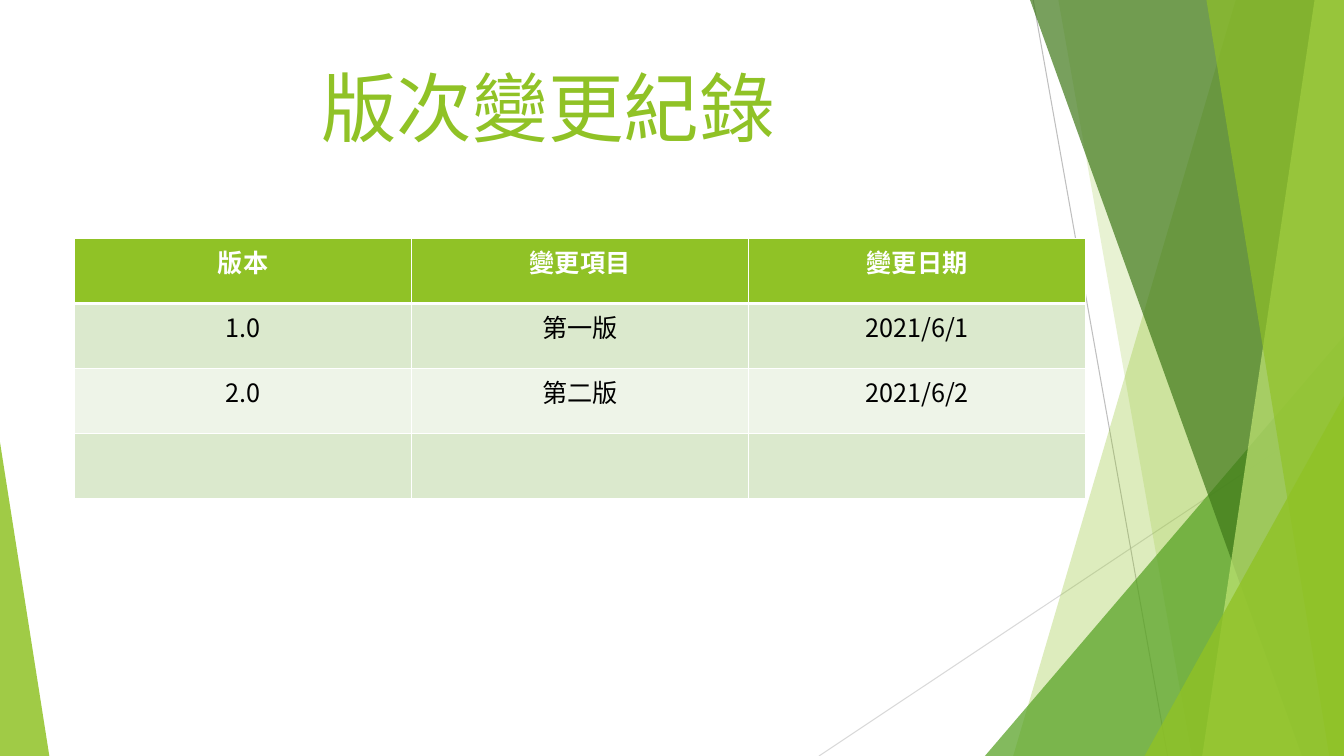
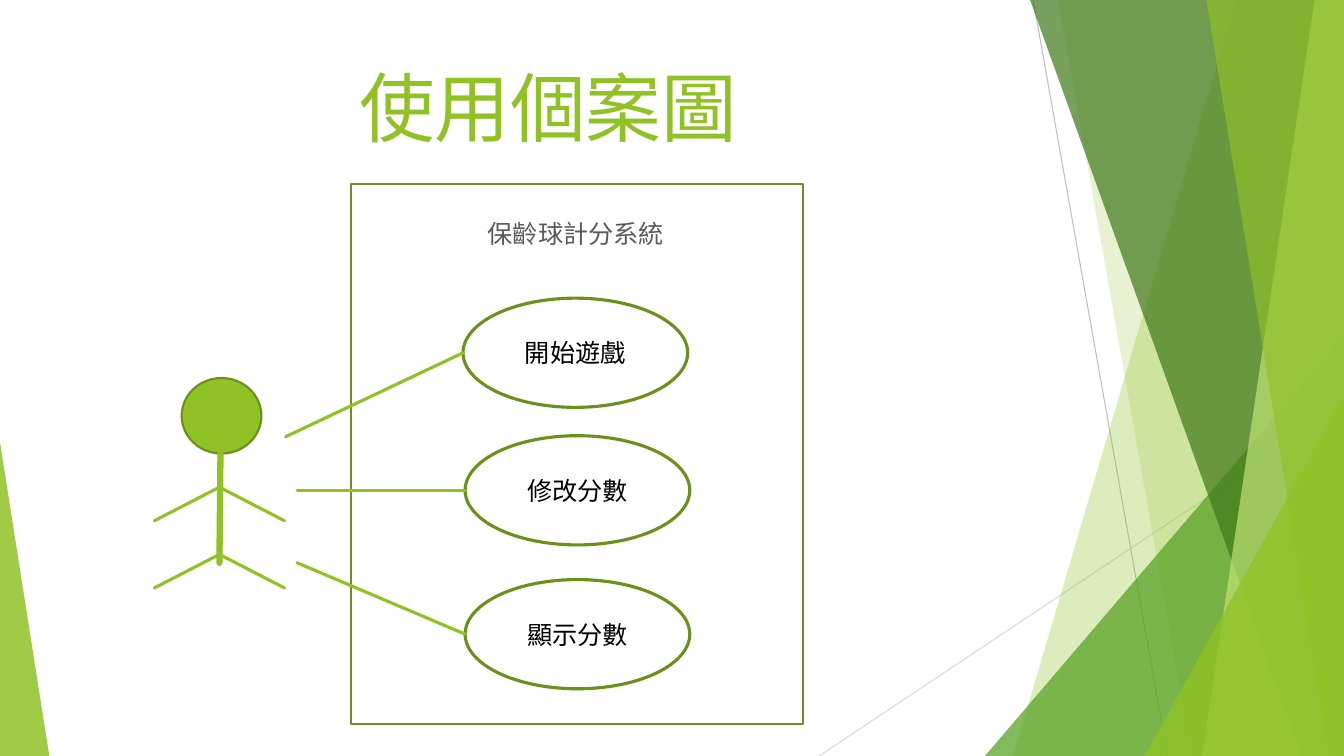
from pptx import Presentation
from pptx.dml.color import RGBColor
from pptx.enum.shapes import MSO_CONNECTOR, MSO_SHAPE
from pptx.enum.text import MSO_ANCHOR, PP_ALIGN
from pptx.oxml.ns import qn
from pptx.util import Pt
from lxml.etree import SubElement

PX = 9525
WIDE, HIGH = 1280, 720
FONT = "Noto Sans CJK TC"
HUES = {
    "lime": "90C226", "leaf": "54A021", "pine": "3F7819", "pale": "C0E474",
    "edge": "6B901C", "mist": "D9D9D9", "ash": "BFBFBF", "gray": "595959",
    "white": "FFFFFF", "black": "000000", "odd": "DBE9CD", "even": "EEF4E8",
}

# Shared backdrop: thin rays, then facets as (colour, opacity in %, corners)
RAYS = [("mist", (780, HIGH), (WIDE, 387)), ("ash", (984, 0), (1112, HIGH))]
TOP, BASE = (WIDE, 0), (WIDE, HIGH)
FACETS = [
    ("lime", 30, [(1177, 0), (965, HIGH), BASE, TOP]),
    ("lime", 20, [(1008, 0), (1135, HIGH), BASE, TOP]),
    ("leaf", 72, [(938, HIGH), (WIDE, 320), BASE]),
    ("pine", 70, [(981, 0), (1240, HIGH), BASE, TOP]),
    ("pale", 70, [(1252, 0), (1145, HIGH), BASE, TOP]),
    ("lime", 65, [(1149, 0), (1266, HIGH), BASE, TOP]),
    ("lime", 80, [(1090, HIGH), (WIDE, 377), BASE]),
    ("lime", 85, [(0, 421), (47, HIGH), (0, HIGH)]),
]
TITLE_BOX = (71, 64, 902, 138)

LOG_TITLE = "版次變更紀錄"
LOG = [
    ("版本", "變更項目", "變更日期"),
    ("1.0", "第一版", "2021/6/1"),
    ("2.0", "第二版", "2021/6/2"),
    ("", "", ""),
]
LOG_AT, LOG_CELL = (71, 227), (321, 62)

CASE_TITLE = "使用個案圖"
SYSTEM = "保齡球計分系統"
SYSTEM_BOX, LABEL_BOX = (334, 175, 431, 515), (373, 203, 351, 38)
OVAL = (214, 104)
# Each case: text, left and top of its oval, start of its link
CASES = [
    ("開始遊戲", (441, 284), (272, 416)),
    ("修改分數", (443, 415), (283, 467)),
    ("顯示分數", (443, 552), (283, 536)),
]
HEAD = (173, 360, 76, 72)
SPINE = ((210, 432), (209, 536))
LIMB_TOPS, REACH, DROP = (464, 528), 62, 32


def px(*sizes):
    return [round(size * PX) for size in sizes]


def hue(name):
    return RGBColor.from_string(HUES[name])


def write(frame, text, size=18, color="black", bold=False, latin=FONT, space=None):
    """Put one centred paragraph into a text frame."""
    para = frame.paragraphs[0]
    para.alignment = PP_ALIGN.CENTER
    if space:
        para.line_spacing = space
    run = para.add_run()
    run.text = text
    font = run.font
    font.size, font.bold, font.name = Pt(size), bold, latin
    font.color.rgb = hue(color)
    SubElement(run._r.get_or_add_rPr(), qn("a:ea"), typeface=FONT)


def label(slide, box, text, **style):
    frame = slide.shapes.add_textbox(*px(*box)).text_frame
    frame.word_wrap = True
    write(frame, text, **style)


def shape(shapes, kind, box, fill=None, width=1.5):
    item = shapes.add_shape(kind, *px(*box))
    item.shadow.inherit = False
    if fill:
        item.fill.solid()
        item.fill.fore_color.rgb = hue(fill)
    else:
        item.fill.background()
    item.line.color.rgb = hue("edge")
    item.line.width = Pt(width)
    return item


def line(shapes, start, end, color="lime", width=2.25):
    item = shapes.add_connector(MSO_CONNECTOR.STRAIGHT, *px(*start, *end))
    item.line.color.rgb = hue(color)
    item.line.width = Pt(width)
    item.line._get_or_add_ln().set("cap", "rnd")
    SubElement(item._element.spPr, qn("a:effectLst"))
    return item


def facet(slide, color, alpha, points):
    pen = slide.shapes.build_freeform(*points[0], scale=PX)
    pen.add_line_segments(points[1:], close=True)
    item = pen.convert_to_shape()
    item.shadow.inherit = False
    item.fill.solid()
    item.fill.fore_color.rgb = hue(color)
    item.line.fill.background()
    tint = item._element.spPr.find(qn("a:solidFill"))[0]
    SubElement(tint, qn("a:alpha"), val=str(alpha * 1000))


def page(deck, title):
    """Add a slide with the shared backdrop and title."""
    slide = deck.slides.add_slide(deck.slide_layouts[6])
    for color, start, end in RAYS:
        line(slide.shapes, start, end, color, 0.75)
    for item in FACETS:
        facet(slide, *item)
    label(slide, TITLE_BOX, title, size=54, color="lime", space=0.88)
    return slide


def frame_cell(cell, base):
    """Draw white borders; base is the width of the bottom one."""
    props = cell._tc.get_or_add_tcPr()
    for spot, (side, width) in enumerate(zip("LRTB", (1, 1, 1, base))):
        edge = SubElement(props, qn(f"a:ln{side}"), w=str(Pt(width)))
        fill = SubElement(edge, qn("a:solidFill"))
        SubElement(fill, qn("a:srgbClr"), val=HUES["white"])
        props.insert(spot, edge)


def log_page(deck):
    slide = page(deck, LOG_TITLE)
    rows, cols = len(LOG), len(LOG[0])
    wide, high = LOG_CELL
    box = px(*LOG_AT, wide * cols, high * rows)
    table = slide.shapes.add_table(rows, cols, *box).table
    for r, row in enumerate(LOG):
        top = r == 0
        fill = "lime" if top else "odd" if r % 2 else "even"
        for c, text in enumerate(row):
            cell = table.cell(r, c)
            cell.fill.solid()
            cell.fill.fore_color.rgb = hue(fill)
            frame_cell(cell, 3 if top else 1)
            if text:
                write(cell.text_frame, text, bold=top,
                      color="white" if top else "black")


def actor(slide):
    parts = slide.shapes.add_group_shape().shapes
    shape(parts, MSO_SHAPE.OVAL, HEAD, fill="lime")
    line(parts, *SPINE, width=4.5)
    mid = SPINE[1][0]
    for top in LIMB_TOPS:
        for side in (-REACH, REACH):
            line(parts, (mid, top), (mid + side, top + DROP))


def case_page(deck):
    slide = page(deck, CASE_TITLE)
    actor(slide)
    shape(slide.shapes, MSO_SHAPE.RECTANGLE, SYSTEM_BOX)
    label(slide, LABEL_BOX, SYSTEM, color="gray", latin="Calibri")
    for text, spot, start in CASES:
        oval = shape(slide.shapes, MSO_SHAPE.OVAL, (*spot, *OVAL), width=2.25)
        frame = oval.text_frame
        frame.vertical_anchor = MSO_ANCHOR.MIDDLE
        write(frame, text)
        end = (spot[0], spot[1] + OVAL[1] / 2)
        link = line(slide.shapes, start, end)
        link.end_connect(oval, 2)  # an oval's left point has index 2
        link.end_x, link.end_y = px(*end)


def main():
    deck = Presentation()
    deck.slide_width, deck.slide_height = px(WIDE, HIGH)
    log_page(deck)
    case_page(deck)
    deck.save("out.pptx")


if __name__ == "__main__":
    main()
